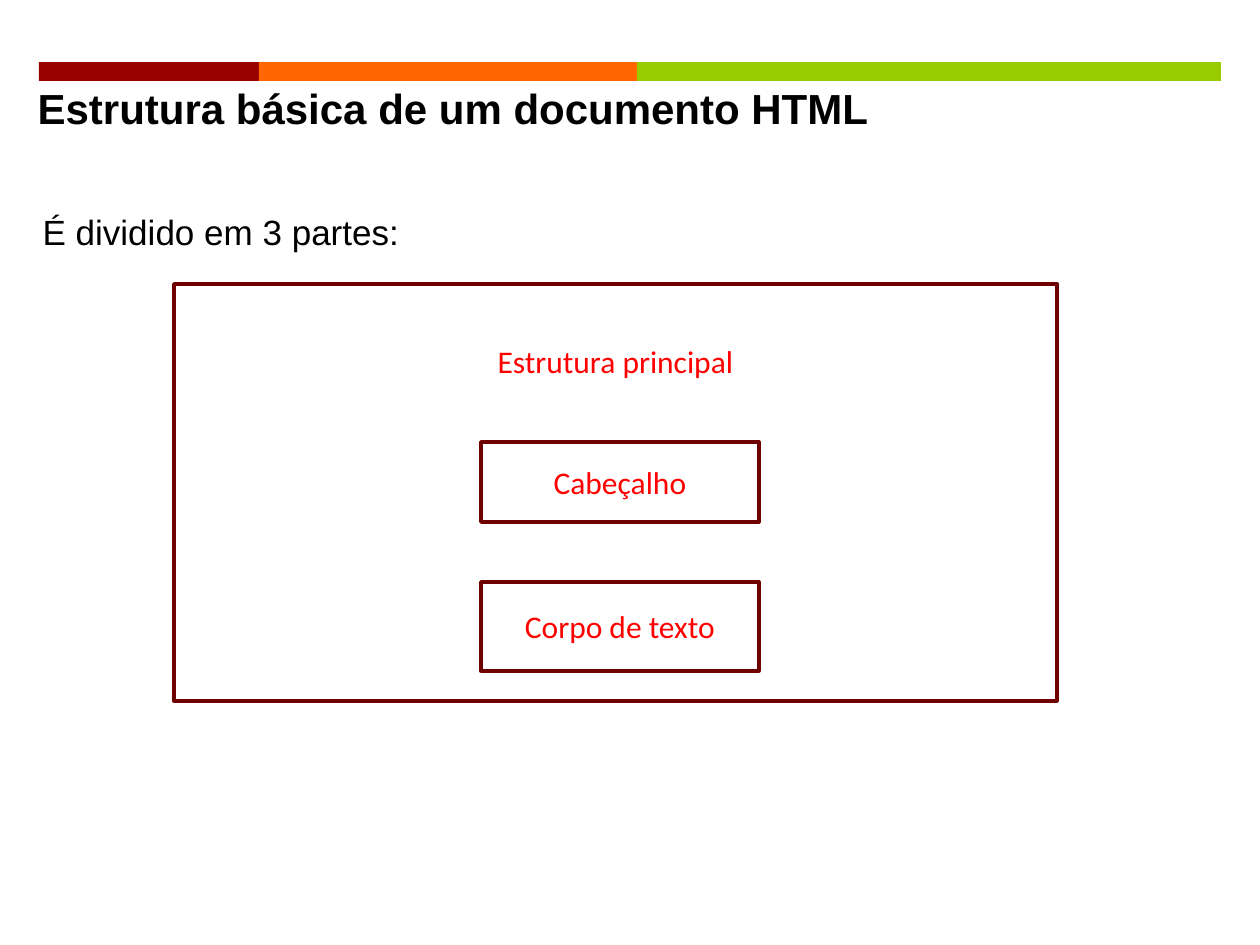
from dataclasses import dataclass

from lxml import etree
from pptx import Presentation
from pptx.dml.color import RGBColor
from pptx.enum.shapes import MSO_CONNECTOR, MSO_SHAPE
from pptx.enum.text import MSO_ANCHOR, MSO_AUTO_SIZE, PP_ALIGN
from pptx.oxml.ns import qn
from pptx.util import Emu, Pt

RECTANGLE = MSO_SHAPE.RECTANGLE
STRAIGHT = MSO_CONNECTOR.STRAIGHT
TOP, MIDDLE = MSO_ANCHOR.TOP, MSO_ANCHOR.MIDDLE
LEFT, CENTER = PP_ALIGN.LEFT, PP_ALIGN.CENTER
NO_AUTOFIT = MSO_AUTO_SIZE.NONE
EMU_PER_PX = 914400 / 126


@dataclass(frozen=True)
class Theme:
    white: str = "FFFFFF"
    ink: str = "000000"
    label: str = "FF0000"
    border: str = "6F0000"
    bands: tuple = ("990000", "FF6600", "99CC00")
    text_font: str = "Arial"
    label_font: str = "Calibri"
    title_size: int = 24
    body_size: int = 20
    label_size: int = 18
    border_width: float = 2
    rule_width: float = 0.75


THEME = Theme()


def px(length):
    return Emu(round(length * EMU_PER_PX))


def color(code):
    return RGBColor.from_string(code)


def add_run(paragraph, text, font, size, code, bold=False):
    run = paragraph.add_run()
    run.text = text
    run.font.name = font
    run.font.size = Pt(size)
    run.font.bold = bold
    run.font.color.rgb = color(code)


def add_rectangle(slide, left, top, width, height, fill):
    rectangle = slide.shapes.add_shape(
        RECTANGLE, px(left), px(top), px(width), px(height))
    rectangle.shadow.inherit = False
    rectangle.fill.solid()
    rectangle.fill.fore_color.rgb = color(fill)
    rectangle.line.fill.background()
    return rectangle


def add_color_band(slide):
    left = 39
    for width, fill in zip((220, 378, 584), THEME.bands):
        add_rectangle(slide, left, 62, width, 19, fill)
        left += width


def add_rule(slide, left, right, y):
    rule = slide.shapes.add_connector(STRAIGHT, px(left), px(y), px(right), px(y))
    rule.line.color.rgb = color(THEME.white)
    rule.line.width = Pt(THEME.rule_width)
    etree.SubElement(rule._element.spPr, qn("a:effectLst"))


def fill_placeholder(placeholder, box, text, size, bold=False):
    """Place a placeholder and give it one unbulleted, hanging paragraph."""
    left, top, width, height = map(px, box)
    placeholder.left, placeholder.top = left, top
    placeholder.width, placeholder.height = width, height
    frame = placeholder.text_frame
    frame.word_wrap = True
    frame.auto_size = NO_AUTOFIT
    frame.vertical_anchor = TOP
    paragraph = frame.paragraphs[0]
    properties = paragraph._p.get_or_add_pPr()
    properties.set("marL", str(px(84)))
    properties.set("indent", str(-px(84)))
    etree.SubElement(properties, qn("a:buNone"))
    paragraph.alignment = LEFT
    paragraph.space_before = Pt(0)
    add_run(paragraph, text, THEME.text_font, size, THEME.ink, bold)


def add_part(slide, box, label, anchor=MIDDLE, inset_top=6):
    """Add one bordered part of the document with its label."""
    part = add_rectangle(slide, *box, THEME.white)
    part.line.color.rgb = color(THEME.border)
    part.line.width = Pt(THEME.border_width)
    frame = part.text_frame
    frame.word_wrap = True
    frame.vertical_anchor = anchor
    frame.margin_top = px(inset_top)
    paragraph = frame.paragraphs[0]
    paragraph.alignment = CENTER
    add_run(paragraph, label, THEME.label_font, THEME.label_size, THEME.label)


def main():
    presentation = Presentation()
    presentation.slide_width, presentation.slide_height = px(1260), px(945)
    slide = presentation.slides.add_slide(presentation.slide_layouts[1])
    title, body = slide.placeholders

    add_color_band(slide)
    fill_placeholder(title, (25, 76, 983, 307),
                     "Estrutura básica de um documento HTML",
                     THEME.title_size, bold=True)
    add_rule(slide, 154, 1260, 165)
    fill_placeholder(body, (30, 204, 1226, 741),
                     "É dividido em 3 partes:", THEME.body_size)

    add_part(slide, (174, 284, 883, 417), "Estrutura principal", TOP, 58)
    add_part(slide, (481, 442, 278, 80), "Cabeçalho")
    add_part(slide, (481, 582, 278, 89), "Corpo de texto")

    presentation.save("out.pptx")


if __name__ == "__main__":
    main()
